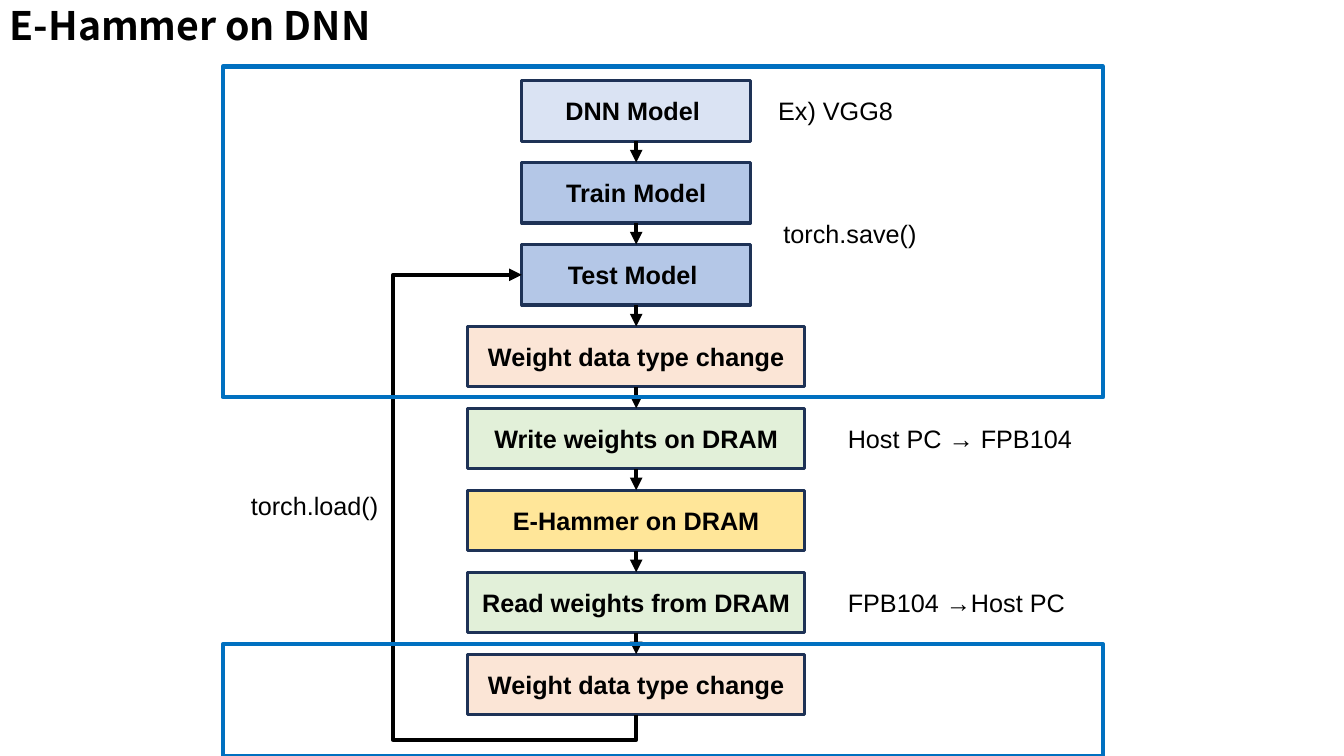
from pptx import Presentation
from pptx.dml.color import RGBColor
from pptx.enum.shapes import MSO_CONNECTOR, MSO_SHAPE
from pptx.enum.text import MSO_ANCHOR, PP_ALIGN
from pptx.oxml.ns import qn
from pptx.util import Inches, Pt
from lxml import etree

BOX = MSO_SHAPE.FLOWCHART_PROCESS
LINE, ELBOW = MSO_CONNECTOR.STRAIGHT, MSO_CONNECTOR.ELBOW
MID, TOP = MSO_ANCHOR.MIDDLE, MSO_ANCHOR.TOP
LEFT, CENTER = PP_ALIGN.LEFT, PP_ALIGN.CENTER

TITLE = "E-Hammer on DNN"
STEPS = [
    ("DNN Model ", "slim", "pale"),
    ("Train Model", "slim", "blue"),
    ("Test Model ", "slim", "blue"),
    ("Weight data type change", "wide", "peach"),
    ("Write weights on DRAM", "wide", "green"),
    ("E-Hammer on DRAM", "wide", "gold"),
    ("Read weights from DRAM", "wide", "green"),
    ("Weight data type change", "wide", "peach"),
]
NOTES = [
    ("Ex) VGG8", 7.62, 0.9, 1.44, LEFT),
    ("Host PC → FPB104", 8.18, 4.15, 2.68, CENTER),
    ("FPB104 →Host PC ", 8.18, 5.78, 2.68, CENTER),
    ("torch.save()", 7.09, 2.12, 2.68, CENTER),
    ("torch.load()", 1.78, 4.82, 2.68, CENTER),
]
FRAMES = [(0.66, 3.28), (6.39, 1.11)]

THEME = {
    "pale": "DAE3F3", "blue": "B4C7E7", "peach": "FBE5D6", "green": "E2F0D9",
    "gold": "FFE699", "edge": "1E3256", "frame": "0070C0", "ink": "000000",
    "body": {"name": "Arial", "size": Pt(18), "bold": False},
    "step": {"name": "Arial", "size": Pt(18), "bold": True},
    "title": {"name": "Noto Sans CJK KR", "size": Pt(28), "bold": True},
    "thin": 2.25, "thick": 3,
}
WIDE, HIGH = 13.33, 7.5
WIDTHS = {"slim": 2.27, "wide": 3.34}
MID_X, FIRST, LAST, BOX_H = 6.31, 0.8, 6.49, 0.6
PITCH = (LAST - FIRST) / (len(STEPS) - 1)
BACK_TO, LOOP_X, LOOP_Y = 2, 3.9, 7.34

deck = Presentation()
deck.slide_width, deck.slide_height = Inches(WIDE), Inches(HIGH)
slide = deck.slides.add_slide(deck.slide_layouts[6])
shapes = slide.shapes


def color(key):
    return RGBColor.from_string(THEME[key])


def stroke(item, key, width):
    item.line.color.rgb = color(key)
    item.line.width = Pt(THEME[width])


def write(item, text, style, align, anchor):
    frame = item.text_frame
    frame.word_wrap = True
    frame.vertical_anchor = anchor
    para = frame.paragraphs[0]
    para.alignment = align
    run = para.add_run()
    run.text = text
    for name, value in THEME[style].items():
        setattr(run.font, name, value)
    run.font.color.rgb = color("ink")
    return para


def label(text, x, y, w, h, style, align, anchor=TOP):
    item = shapes.add_textbox(*map(Inches, (x, y, w, h)))
    return write(item, text, style, align, anchor)


def block(x, y, w, h, edge, width, fill=None):
    item = shapes.add_shape(BOX, *map(Inches, (x, y, w, h)))
    item.shadow.inherit = False
    if fill:
        item.fill.solid()
        item.fill.fore_color.rgb = color(fill)
    else:
        item.fill.background()
    stroke(item, edge, width)
    return item


def arrow(kind, x1, y1, x2, y2):
    item = shapes.add_connector(kind, *map(Inches, (x1, y1, x2, y2)))
    stroke(item, "ink", "thick")
    etree.SubElement(item.line._get_or_add_ln(), qn("a:tailEnd"), type="triangle")
    etree.SubElement(item._element.spPr, qn("a:effectLst"))
    return item


def loop(x1, y1, x2, y2):
    mid_x, mid_y = (x1 + x2) / 2, (y1 + y2) / 2
    run, rise = x1 - x2, y1 - y2
    item = arrow(ELBOW, mid_x + rise / 2, mid_y - run / 2,
                 mid_x - rise / 2, mid_y + run / 2)
    props = item._element.spPr
    props.find(qn("a:xfrm")).set("rot", str(90 * 60000))
    geom = props.find(qn("a:prstGeom"))
    geom.set("prst", "bentConnector4")
    guides = geom.find(qn("a:avLst"))
    shares = ((y1 - LOOP_Y) / rise, (x1 - LOOP_X) / run)
    for num, share in enumerate(shares, 1):
        etree.SubElement(guides, qn("a:gd"), name=f"adj{num}",
                         fmla=f"val {round(share * 100000)}")


head = label(TITLE, 0, 0, WIDE, 0.55, "title", LEFT, MID)
head.line_spacing = 0.9

for row, (text, size, fill) in enumerate(STEPS):
    y, w = FIRST + row * PITCH, WIDTHS[size]
    item = block(MID_X - w / 2, y, w, BOX_H, "edge", "thin", fill)
    write(item, text, "step", CENTER, MID)
    if row:
        arrow(LINE, MID_X, y - PITCH + BOX_H, MID_X, y)

loop(MID_X, LAST + BOX_H,
     MID_X - WIDTHS["slim"] / 2, FIRST + BACK_TO * PITCH + BOX_H / 2)

for y, h in FRAMES:
    block(2.21, y, 8.73, h, "frame", "thick")

for text, x, y, w, align in NOTES:
    label(text, x, y, w, 0.4, "body", align)

deck.save("out.pptx")
